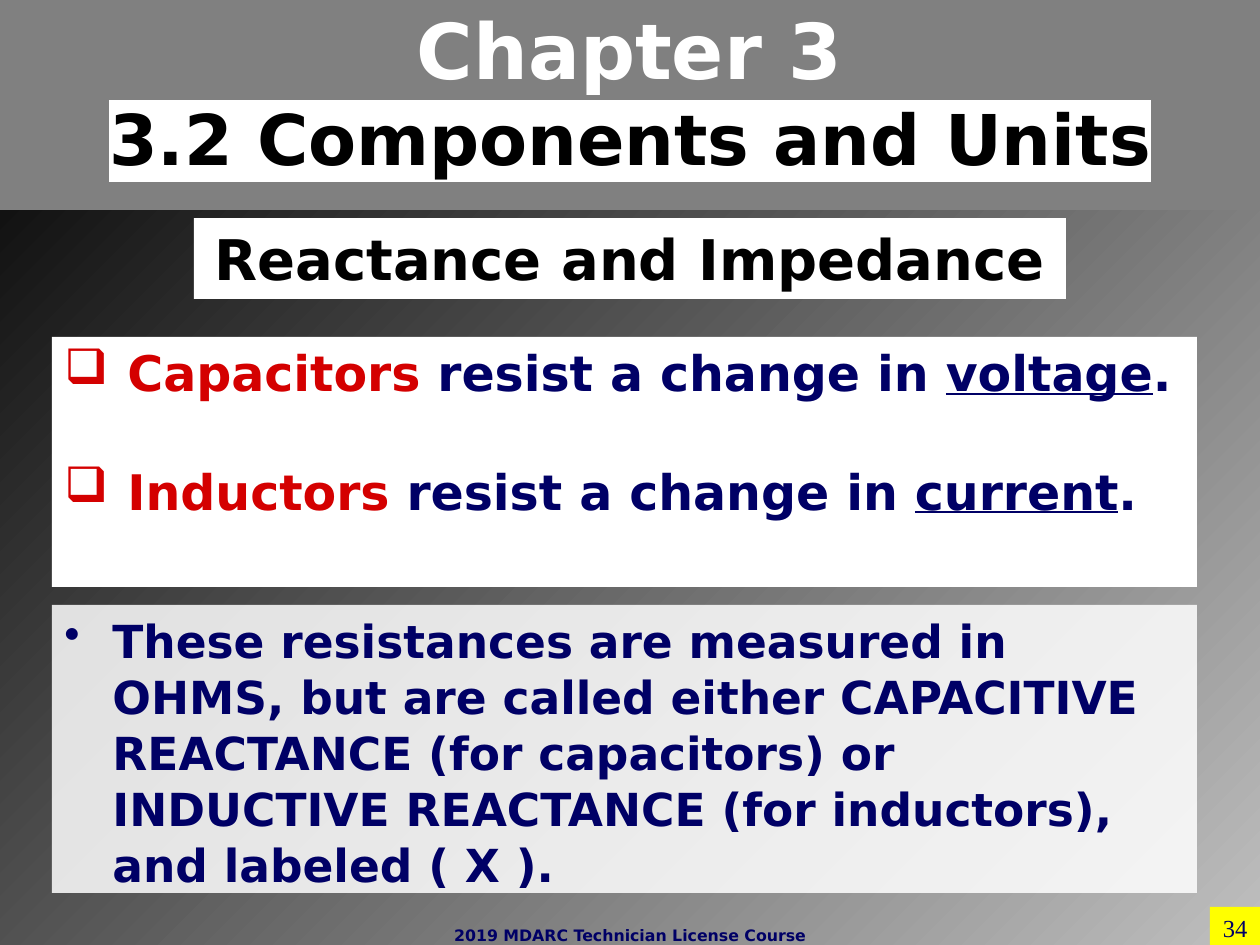
"""Build the Reactance and Impedance slide of a radio licence course."""
from lxml.etree import SubElement
from pptx import Presentation
from pptx.dml.color import RGBColor
from pptx.enum.shapes import MSO_SHAPE
from pptx.enum.text import MSO_ANCHOR, MSO_AUTO_SIZE, PP_ALIGN
from pptx.oxml.ns import qn
from pptx.util import Pt

PX = 914400 // 126
NAVY, RED, WHITE, BLACK = "000066", "D40000", "FFFFFF", "000000"
SANS, SERIF = "DejaVu Sans", "Times New Roman"
CENTER, LEFT, RIGHT = PP_ALIGN.CENTER, PP_ALIGN.LEFT, PP_ALIGN.RIGHT

BACKGROUND = ["BFBFBF", BLACK]
TITLE = [[("Chapter 3\v", dict(size=44, color=WHITE)),
          ("3.2 Components and Units", dict(size=40, color=BLACK, highlight=WHITE))]]
SUBTITLE = [[("Reactance and Impedance", dict(color=BLACK, highlight=WHITE))]]
RULES = [[(part, dict(color=RED)), (" resist a change in ", {}),
          (quantity, dict(underline=True)), (".", {})]
         for part, quantity in [("Capacitors", "voltage"), ("Inductors", "current")]]
NOTE = [[("These resistances are measured in OHMS, but are called either "
          "CAPACITIVE REACTANCE (for capacitors) or \v"
          "INDUCTIVE REACTANCE (for inductors), \vand labeled ( X ).", {})]]
NUMBER = [[("34", dict(font=SERIF, bold=False))]]
FOOTER = [[("2019 MDARC Technician License Course", {})]]

BOXES = [
    (SUBTITLE, (194, 218, 872, 81), WHITE, None, dict(size=32, align=CENTER)),
    (NUMBER, (1210, 907, 50, 38), "FFFF00", None, dict(size=14, align=RIGHT)),
    (RULES, (52, 337, 1145, 250), WHITE, None,
     dict(size=28, bullet="❑", indent=63, gap=34)),
    (NOTE, (52, 605, 1145, 288), WHITE, 85,
     dict(size=26, bullet="•", indent=48, spacing=1.03)),
    (FOOTER, (441, 920, 378, 25), None, None, dict(size=9, align=CENTER)),
]


def rgb(color):
    return RGBColor.from_string(color)


def add_run(p, text, size=18, color=NAVY, font=SANS, bold=True,
            underline=False, highlight=None):
    for i, line in enumerate(text.split("\v")):
        if i:
            p.add_line_break()
        if not line:
            continue
        r = p.add_run()
        r.text = line
        f = r.font
        f.size, f.name, f.bold, f.underline = Pt(size), font, bold, underline
        f.color.rgb = rgb(color)
        if highlight:
            rPr = r._r.get_or_add_rPr()
            mark = SubElement(rPr, qn("a:highlight"))
            SubElement(mark, qn("a:srgbClr"), val=highlight)
            rPr.find(qn("a:solidFill")).addnext(mark)


def write(sp, paragraphs, size=18, align=LEFT, bullet=None, indent=0,
          gap=0, spacing=None, inset=6):
    tf = sp.text_frame
    tf.word_wrap, tf.auto_size = True, MSO_AUTO_SIZE.NONE
    tf.vertical_anchor, tf.margin_top = MSO_ANCHOR.TOP, inset * PX
    for i, runs in enumerate(paragraphs):
        p = tf.add_paragraph() if i else tf.paragraphs[0]
        if bullet:
            pPr = p._p.get_or_add_pPr()
            pPr.set("marL", str(indent * PX))
            pPr.set("indent", str(-indent * PX))
            SubElement(pPr, qn("a:buChar"), char=bullet)
        p.alignment = align
        if spacing:
            p.line_spacing = spacing
        if i:
            p.space_before = Pt(gap)
        for text, style in runs:
            add_run(p, text, **{"size": size, **style})


def paint(sp, color, opacity=None):
    sp.fill.solid()
    sp.fill.fore_color.rgb = rgb(color)
    if opacity:
        clr = sp._element.spPr.find(qn("a:solidFill"))[0]
        SubElement(clr, qn("a:alpha"), val=str(opacity * 1000))


def add_box(slide, paragraphs, place, fill, opacity, style):
    place = [v * PX for v in place]
    if fill:
        sp = slide.shapes.add_shape(MSO_SHAPE.RECTANGLE, *place)
        sp.shadow.inherit = False
        sp.line.fill.background()
        paint(sp, fill, opacity)
    else:
        sp = slide.shapes.add_textbox(*place)
    write(sp, paragraphs, **style)


def set_background(slide):
    fill = slide.background.fill
    fill.gradient()
    for stop, color in zip(fill.gradient_stops, BACKGROUND):
        stop.color.rgb = rgb(color)
    grad = slide.element.find(".//" + qn("a:gradFill"))
    grad.remove(grad.find(qn("a:lin")))
    stops = grad.find(qn("a:gsLst"))
    circle = grad.makeelement(qn("a:path"), {"path": "circle"})
    stops.addnext(circle)
    SubElement(circle, qn("a:fillToRect"), l="100000", t="100000")


def main():
    prs = Presentation()
    prs.slide_width, prs.slide_height = 1260 * PX, 945 * PX
    slide = prs.slides.add_slide(prs.slide_layouts[5])
    set_background(slide)
    title = slide.shapes.title
    title.left, title.top, title.width, title.height = (
        v * PX for v in (0, -10, 1260, 220))
    paint(title, "808080")
    write(title, TITLE, align=CENTER, inset=13)
    for box in BOXES:
        add_box(slide, *box)
    prs.save("out.pptx")


if __name__ == "__main__":
    main()
